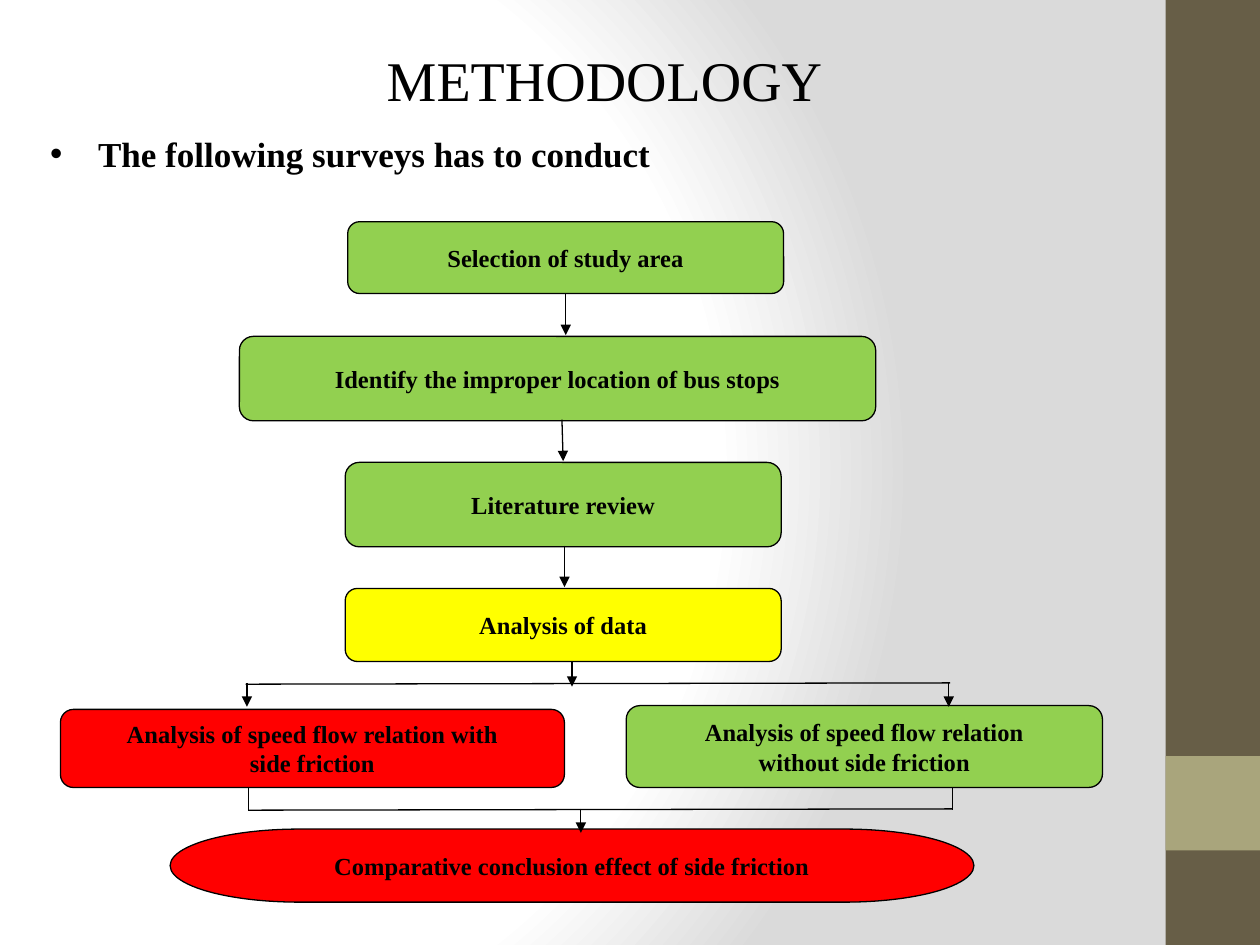
"""Build the methodology flowchart slide."""
from lxml import etree
from pptx import Presentation
from pptx import util as u
from pptx.dml import color
from pptx.enum import shapes, text
from pptx.oxml import ns, parse_xml

Inches = u.Inches
COLORS = {"ink": "000000", "olive": "675E47", "sage": "A9A57C", "green": "92D050",
          "yellow": "FFFF00", "red": "FF0000", "white": "FFFFFF", "gray": "DADADA"}
STEP = shapes.MSO_SHAPE.FLOWCHART_ALTERNATE_PROCESS
END = shapes.MSO_SHAPE.FLOWCHART_TERMINATOR


def rgb(name):
    return color.RGBColor.from_string(COLORS[name])


def write(frame, wording, size, bold, align, anchor, wrap):
    for key, value in {"text": wording, "word_wrap": wrap, "vertical_anchor": anchor}.items():
        setattr(frame, key, value)
    for paragraph in frame.paragraphs:
        paragraph.alignment = align
        for run in paragraph.runs:
            for key, value in {"name": "Times New Roman", "size": u.Pt(size), "bold": bold}.items():
                setattr(run.font, key, value)
            run.font.color.rgb = rgb("ink")


deck = Presentation()
deck.slide_width, deck.slide_height = Inches(10), Inches(7.5)
slide = deck.slides.add_slide(deck.slide_layouts[6])

slide.background.fill.gradient()
gradient = slide._element.find(".//" + ns.qn("a:gradFill"))
stops = "".join(f'<a:gs pos="{place * 1000}"><a:srgbClr val="{COLORS[name]}"/></a:gs>'
                for place, name in [(0, "white"), (75, "white"), (100, "gray")])
gradient.getparent().replace(gradient, parse_xml(
    f'<a:gradFill {ns.nsdecls("a")} rotWithShape="1"><a:gsLst>{stops}</a:gsLst>'
    '<a:path path="circle"><a:fillToRect l="20000" t="50000" r="100000" b="50000"/></a:path>'
    '</a:gradFill>'))

for top, height, fill in [(0, 7.5, "olive"), (6, 0.75, "sage")]:
    band = slide.shapes.add_shape(shapes.MSO_SHAPE.RECTANGLE, Inches(9.25), Inches(top),
                                  Inches(0.75), Inches(height))
    band.shadow.inherit = False
    band.fill.solid()
    band.fill.fore_color.rgb = rgb(fill)
    band.line.fill.background()

title = slide.shapes.add_textbox(Inches(0.3), Inches(0), Inches(9), Inches(1.25))
write(title.text_frame, "METHODOLOGY", 32, False,
      text.PP_ALIGN.CENTER, text.MSO_ANCHOR.MIDDLE, True)

intro = slide.shapes.add_textbox(Inches(0.3), Inches(1), Inches(9.41), Inches(6.13))
write(intro.text_frame, "The following surveys has to conduct", 20, True,
      text.PP_ALIGN.LEFT, text.MSO_ANCHOR.TOP, True)
bullet = intro.text_frame.paragraphs[0]._p.get_or_add_pPr()
bullet.set("marL", str(Inches(0.38)))
bullet.set("indent", str(Inches(-0.38)))
etree.SubElement(bullet, ns.qn("a:buFont"), typeface="Arial")
etree.SubElement(bullet, ns.qn("a:buChar"), char="•")

steps = [
    (STEP, 2.76, 1.76, 3.46, 0.57, "green", "Selection of study area"),
    (STEP, 1.9, 2.67, 5.05, 0.67, "green", "Identify the improper location of bus stops"),
    (STEP, 2.74, 3.67, 3.46, 0.67, "green", "Literature review"),
    (STEP, 2.74, 4.67, 3.46, 0.58, "yellow", "Analysis of data"),
    (STEP, 0.48, 5.63, 4, 0.62, "red", "Analysis of speed flow relation with\nside friction"),
    (STEP, 4.97, 5.6, 3.78, 0.65, "green", "Analysis of speed flow relation\nwithout side friction"),
    (END, 1.35, 6.58, 6.38, 0.58, "red", "Comparative conclusion effect of side friction"),
]
for kind, left, top, width, height, fill, wording in steps:
    step = slide.shapes.add_shape(kind, Inches(left), Inches(top), Inches(width), Inches(height))
    step.shadow.inherit = False
    step.fill.solid()
    step.fill.fore_color.rgb = rgb(fill)
    step.line.color.rgb = rgb("ink")
    step.line.width = u.Pt(0.75)
    write(step.text_frame, wording, 14, True,
          text.PP_ALIGN.CENTER, text.MSO_ANCHOR.MIDDLE, False)

arrows = [(2.46, 4.72, 2.46, 4.72), (4.49, 2.33, 4.49, 2.66), (4.46, 3.33, 4.47, 3.66),
          (4.48, 4.33, 4.48, 4.66), (7.53, 5.42, 7.53, 5.61), (1.96, 5.42, 1.96, 5.61),
          (4.61, 6.42, 4.61, 6.61), (4.54, 5.25, 4.54, 5.45)]
joins = [(1.95, 5.43, 7.54, 5.42), (1.97, 6.43, 7.56, 6.42),
         (7.56, 6.25, 7.56, 6.43), (1.97, 6.25, 1.97, 6.43)]
for ends, pointed in [(ends, True) for ends in arrows] + [(ends, False) for ends in joins]:
    flow = slide.shapes.add_connector(shapes.MSO_CONNECTOR.STRAIGHT, *map(Inches, ends))
    flow.line.color.rgb = rgb("ink")
    flow.line.width = u.Pt(0.75)
    if pointed:
        etree.SubElement(flow.line._get_or_add_ln(), ns.qn("a:tailEnd"), type="triangle")
    etree.SubElement(flow._element.spPr, ns.qn("a:effectLst"))

deck.save("out.pptx")
